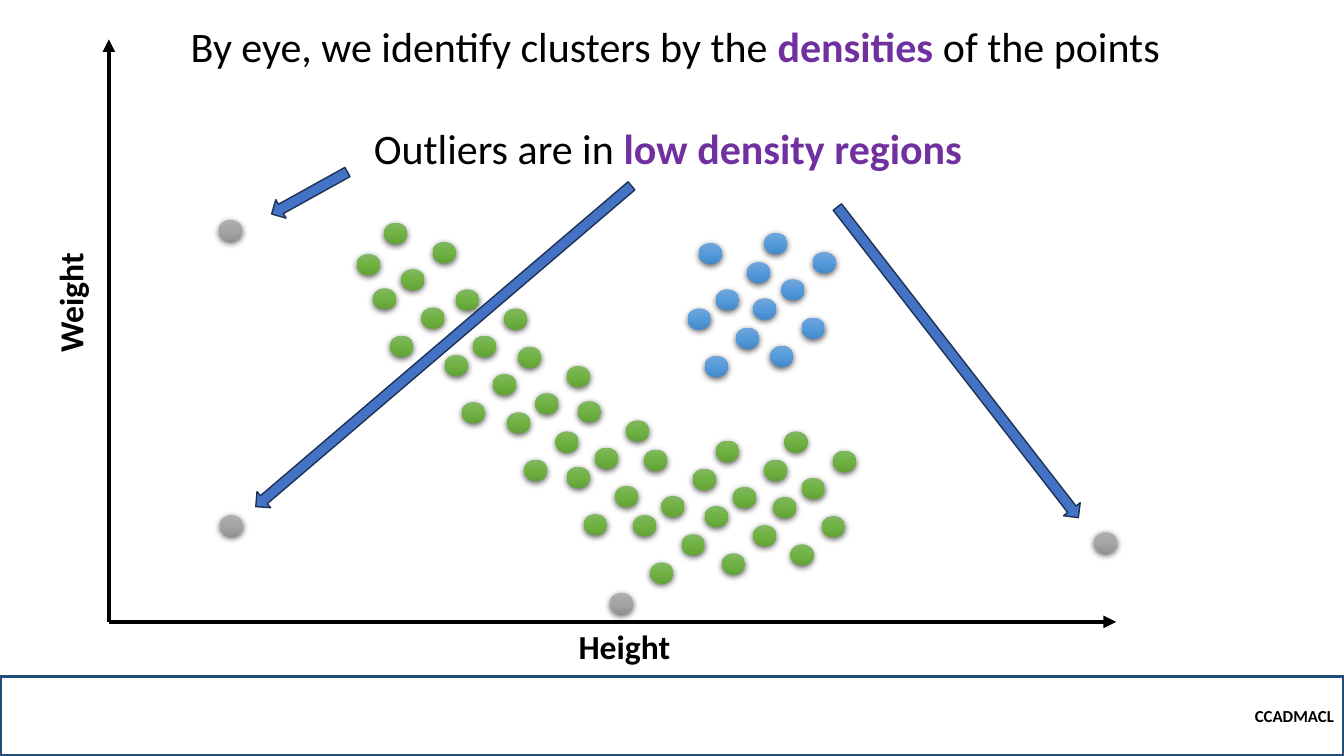
from pptx import Presentation
from pptx.dml.color import RGBColor
from pptx.enum.shapes import MSO_CONNECTOR, MSO_SHAPE
from pptx.enum.text import MSO_ANCHOR, MSO_AUTO_SIZE, PP_ALIGN
from pptx.oxml import parse_xml
from pptx.oxml.ns import nsdecls
from pptx.util import Pt

PX = 9144  # 100 px to the inch
STRAIGHT = MSO_CONNECTOR.STRAIGHT
OVAL, RECTANGLE, RIGHT_ARROW = MSO_SHAPE.OVAL, MSO_SHAPE.RECTANGLE, MSO_SHAPE.RIGHT_ARROW
TOP, MIDDLE = MSO_ANCHOR.TOP, MSO_ANCHOR.MIDDLE
LEFT, RIGHT = PP_ALIGN.LEFT, PP_ALIGN.RIGHT
FONT = "Calibri"

BLACK = RGBColor(0x00, 0x00, 0x00)
PURPLE = RGBColor(0x70, 0x30, 0xA0)
FOOTER_LINE = RGBColor(0x1F, 0x4E, 0x79)
ARROW_FILL = RGBColor(0x44, 0x72, 0xC4)
ARROW_LINE = RGBColor(0x1E, 0x32, 0x56)
GREEN = (RGBColor(0x81, 0xB8, 0x61), RGBColor(0x6F, 0xB2, 0x42), RGBColor(0x62, 0xA3, 0x36))
BLUE = (RGBColor(0x71, 0xA6, 0xDB), RGBColor(0x55, 0x9B, 0xDB), RGBColor(0x44, 0x8A, 0xCA))
GREY = (RGBColor(0xAF, 0xAF, 0xAF), RGBColor(0xA5, 0xA5, 0xA5), RGBColor(0x93, 0x93, 0x93))

# Runs are (text, colour, bold); boxes are (left, top, width, height)
TITLE = [("By eye, we identify clusters by the ", BLACK, False),
         ("densities", PURPLE, True),
         (" of the points", BLACK, False)]
TITLE_BOX = (179, 15, 985, 61)
OUTLIER_NOTE = [("Outliers are in ", BLACK, False),
                ("low density regions", PURPLE, True)]
OUTLIER_NOTE_BOX = (361, 117, 620, 61)
AXIS_LABELS = [("Height", (564, 616, 117, 50), 0),
               ("Weight", (10, 275, 119, 50), 270)]
FOOTER = [("CCADMACL", BLACK, True)]
FOOTER_BOX = (0, 671, 1333, 79)

ORIGIN = (108, 617)
AXIS_ENDS = [(1107, 617), (108, 39)]

DOT_SIZE = (23, 21)
# Six dots that recur throughout the clusters, relative to the first
PATCH = [(0, 0), (17, 46), (48, 19), (-11, 65), (6, 112), (37, 84)]
GREEN_PATCHES = [(381, 221), (452, 287), (514, 344), (573, 398),
                 (639, 446), (710, 437), (778, 428)]
BLUE_PATCHES = [(693, 241), (758, 231)]
LONE_GREEN = [(354, 252)]
OUTLIERS = [(217, 218), (218, 511), (1085, 528), (605, 588)]

OUTLIER_ARROWS = [((755, 349, 390, 21), 52.2),
                  ((264, 181, 86, 21), 151),
                  ((195, 333, 490, 21), 139.5)]


def emu(lengths):
    return [length * PX for length in lengths]


def write(frame, runs, *, size, align=LEFT, anchor=TOP, wrap=False):
    frame.auto_size = MSO_AUTO_SIZE.NONE
    frame.word_wrap = wrap
    frame.vertical_anchor = anchor
    paragraph = frame.paragraphs[0]
    paragraph.alignment = align
    for text, colour, bold in runs:
        run = paragraph.add_run()
        run.text = text
        run.font.name = FONT
        run.font.size = Pt(size)
        run.font.bold = bold
        run.font.color.rgb = colour


def add_axis(shapes, end):
    axis = shapes.add_connector(STRAIGHT, *emu(ORIGIN + end))
    axis.line.color.rgb = BLACK
    axis.line.width = Pt(3)
    axis.line._get_or_add_ln().append(
        parse_xml(f'<a:tailEnd {nsdecls("a")} type="triangle"/>'))
    axis._element.spPr.append(parse_xml(f'<a:effectLst {nsdecls("a")}/>'))


def add_dot(shapes, corner, shades):
    """Add a dot with a vertical three-stop gradient and a soft shadow below."""
    dot = shapes.add_shape(OVAL, *emu(corner + DOT_SIZE))
    dot.line.fill.background()
    stops = "".join(f'<a:gs pos="{i * 50000}"><a:srgbClr val="{shade}"/></a:gs>'
                    for i, shade in enumerate(shades))
    outline = dot.line._get_or_add_ln()
    outline.addprevious(parse_xml(
        f'<a:gradFill {nsdecls("a")} rotWithShape="1"><a:gsLst>{stops}</a:gsLst>'
        '<a:lin ang="5400000" scaled="0"/></a:gradFill>'))
    outline.addnext(parse_xml(
        f'<a:effectLst {nsdecls("a")}><a:outerShdw blurRad="57150" dist="19050" '
        'dir="5400000" algn="ctr" rotWithShape="0"><a:srgbClr val="000000">'
        '<a:alpha val="63000"/></a:srgbClr></a:outerShdw></a:effectLst>'))


def patch_dots(patches):
    return [(x + dx, y + dy) for x, y in patches for dx, dy in PATCH]


def main():
    prs = Presentation()
    prs.slide_width, prs.slide_height = emu((1333, 750))
    slide = prs.slides.add_slide(prs.slide_layouts[5])
    shapes = slide.shapes

    title = shapes.title
    title.left, title.top, title.width, title.height = emu(TITLE_BOX)
    write(title.text_frame, TITLE, size=30)

    footer = shapes.add_shape(RECTANGLE, *emu(FOOTER_BOX))
    footer.shadow.inherit = False
    footer.fill.background()
    footer.line.color.rgb = FOOTER_LINE
    footer.line.width = Pt(2.25)
    write(footer.text_frame, FOOTER, size=12, align=RIGHT, anchor=MIDDLE, wrap=True)

    for end in AXIS_ENDS:
        add_axis(shapes, end)

    clusters = [(patch_dots(GREEN_PATCHES) + LONE_GREEN, GREEN),
                (patch_dots(BLUE_PATCHES), BLUE),
                (OUTLIERS, GREY)]
    for corners, shades in clusters:
        for corner in corners:
            add_dot(shapes, corner, shades)

    for text, box, rotation in AXIS_LABELS:
        label = shapes.add_textbox(*emu(box))
        label.rotation = rotation
        write(label.text_frame, [(text, BLACK, True)], size=24)

    annotation = shapes.add_group_shape().shapes
    note = annotation.add_textbox(*emu(OUTLIER_NOTE_BOX))
    write(note.text_frame, OUTLIER_NOTE, size=30)
    for box, rotation in OUTLIER_ARROWS:
        arrow = annotation.add_shape(RIGHT_ARROW, *emu(box))
        arrow.rotation = rotation
        arrow.shadow.inherit = False
        arrow.fill.solid()
        arrow.fill.fore_color.rgb = ARROW_FILL
        arrow.line.color.rgb = ARROW_LINE
        arrow.line.width = Pt(1)

    prs.save("out.pptx")


if __name__ == "__main__":
    main()
